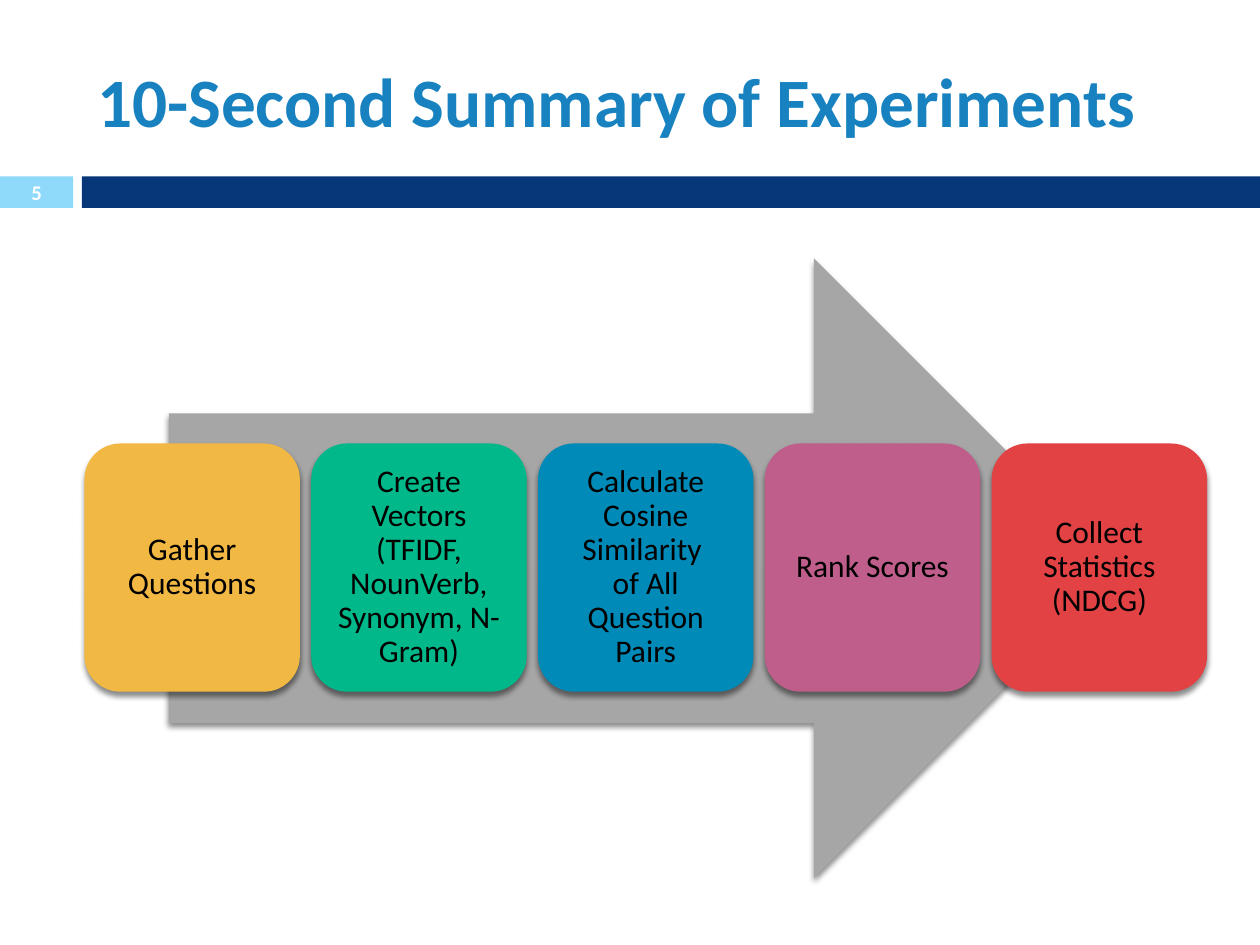
from dataclasses import dataclass

from lxml.etree import SubElement
from pptx import Presentation
from pptx.dml.color import RGBColor
from pptx.enum.shapes import MSO_SHAPE as Preset
from pptx.enum.text import MSO_ANCHOR as Anchor, PP_ALIGN as Align
from pptx.oxml.ns import qn
from pptx.util import Inches, Pt

TITLE = "10-Second Summary of Experiments"
PAGE_NUMBER = "5"
STEPS = [
    ("Gather Questions", "F2B844"),
    ("Create Vectors (TFIDF, NounVerb, Synonym, N-Gram)", "00B88A"),
    ("Calculate Cosine Similarity \vof All Question Pairs", "008AB8"),
    ("Rank Scores", "BF5D8B"),
    ("Collect Statistics (NDCG)", "E24244"),
]


@dataclass(frozen=True)
class Theme:
    font: str = "Calibri"
    title: str = "1782BF"
    number_band: str = "8FD9FB"
    title_band: str = "073779"
    arrow: str = "A6A6A6"
    light: str = "FFFFFF"
    dark: str = "000000"
    title_size: float = 39.6
    number_size: float = 11.9
    step_size: float = 18


theme = Theme()
STEP_LEFT, STEP_TOP, STEP_WIDTH, STEP_HEIGHT = 0.67, 3.52, 1.71, 1.97
STEP_PITCH = 1.8
STEP_INSET = 0.15

deck = Presentation()
deck.slide_width, deck.slide_height = Inches(10), Inches(7.5)
slide = deck.slides.add_slide(deck.slide_layouts[5])


def add_block(preset, box, color):
    block = slide.shapes.add_shape(preset, *map(Inches, box))
    block.fill.solid()
    block.fill.fore_color.rgb = RGBColor.from_string(color)
    block.line.fill.background()
    block.shadow.inherit = False
    return block


def cast_shadow(block):
    effects = block._element.spPr.find(qn("a:effectLst"))
    shadow = SubElement(effects, qn("a:outerShdw"), blurRad=str(Pt(3)),
                        dist=str(Pt(2.4)), dir="5400000", rotWithShape="0")
    color = SubElement(shadow, qn("a:srgbClr"), val=theme.dark)
    SubElement(color, qn("a:alpha"), val="45000")


def write(block, text, size, color, bold=False, align=Align.CENTER, inset=0.0):
    frame = block.text_frame
    frame.text = text
    frame.word_wrap = True
    frame.vertical_anchor = Anchor.MIDDLE
    frame.margin_left = frame.margin_right = Inches(inset)
    frame.margin_top = frame.margin_bottom = Inches(inset)
    paragraph = frame.paragraphs[0]
    paragraph.alignment = align
    for run in paragraph.runs:
        run.font.name = theme.font
        run.font.size = Pt(size)
        run.font.bold = bold
        run.font.color.rgb = RGBColor.from_string(color)
    return paragraph


heading = slide.shapes.title
heading.left, heading.top, heading.width, heading.height = map(
    Inches, (0.67, 0.25, 8.92, 1.08))
write(heading, TITLE, theme.title_size, theme.title, True, Align.LEFT, 0.1)

page_number = add_block(Preset.RECTANGLE, (0, 1.4, 0.58, 0.25), theme.number_band)
write(page_number, PAGE_NUMBER, theme.number_size, theme.light, True)
add_block(Preset.RECTANGLE, (0.65, 1.4, 9.35, 0.25), theme.title_band)

cast_shadow(add_block(Preset.RIGHT_ARROW, (1.34, 2.05, 7.58, 4.92), theme.arrow))

for index, (label, color) in enumerate(STEPS):
    left = STEP_LEFT + index * STEP_PITCH
    step = add_block(Preset.ROUNDED_RECTANGLE,
                     (left, STEP_TOP, STEP_WIDTH, STEP_HEIGHT), color)
    cast_shadow(step)
    write(step, label, theme.step_size, theme.dark,
          inset=STEP_INSET - 0.05).line_spacing = 0.9

deck.save("out.pptx")
